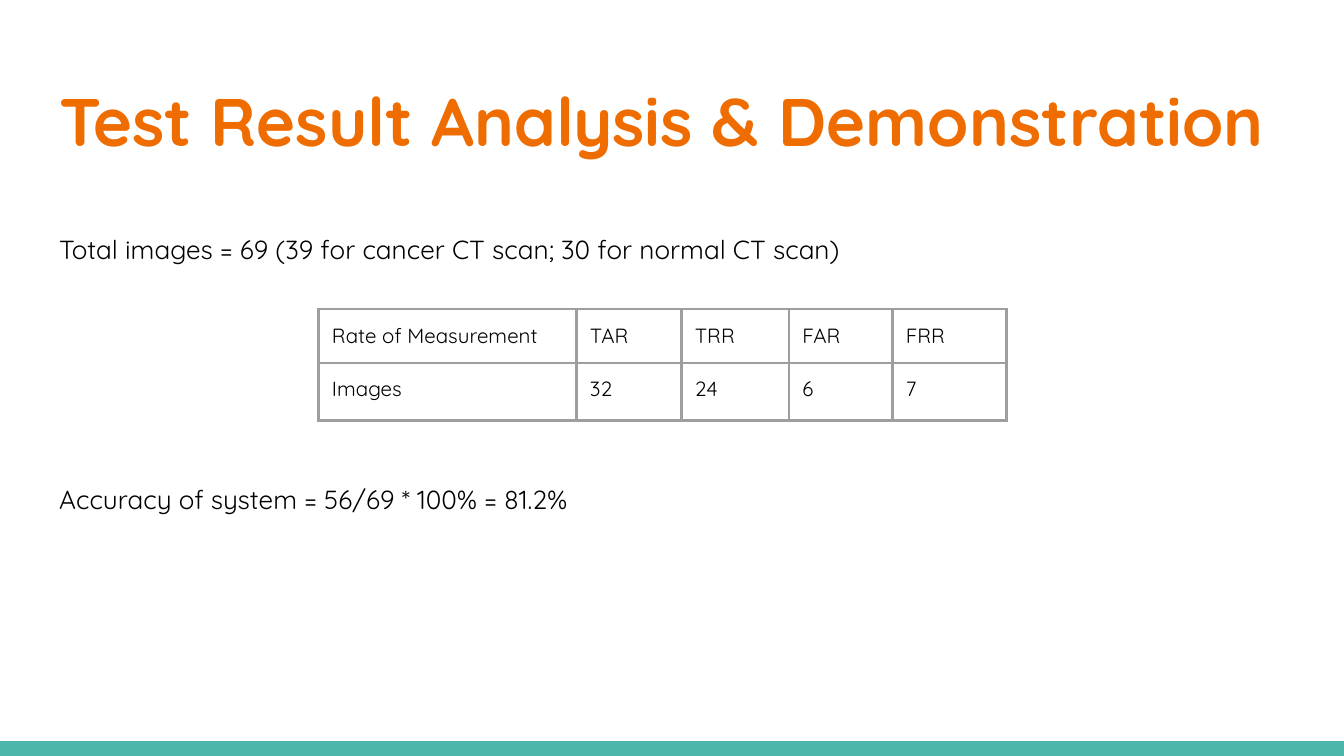
from lxml.etree import SubElement as Sub
from pptx import Presentation
from pptx.dml.color import RGBColor as RGB
from pptx.enum.shapes import MSO_SHAPE as Shape
from pptx.enum.text import MSO_ANCHOR as Anchor, MSO_AUTO_SIZE as Fit, PP_ALIGN as Align
from pptx.oxml.ns import qn
from pptx.util import Inches, Pt

TITLE = "Test Result Analysis & Demonstration"
TOTAL = "Total images = 69 (39 for cancer CT scan; 30 for normal CT scan)"
SCORE = "Accuracy of system = 56/69 * 100% = 81.2%"
ROWS = [
    ("Rate of Measurement", "TAR", "TRR", "FAR", "FRR"),
    ("Images", "32", "24", "6", "7"),
]
WIDTHS = [1.92, 0.78, 0.8, 0.77, 0.85]
HEIGHTS = [0.4, 0.43]
COLORS = {"title": "EF6C00", "text": "000000", "bar": "4DB6AC", "grid": "9E9E9E"}
FONT = "Quicksand"
WIDE = 10
HIGH = WIDE * 9 / 16
BAR = 0.11
PAD = 0.1


def write(par, text, size=14, color="text", bold=False, lines=1.0, before=0):
    par.alignment = Align.LEFT
    par.line_spacing = lines
    par.space_before = Pt(before)
    run = par.add_run()
    run.text = text
    font = run.font
    font.name, font.size, font.bold = FONT, Pt(size), bold
    font.color.rgb = RGB.from_string(COLORS[color])


def place(holder, left, top, width, height, inset=PAD):
    """Move a placeholder and return its text frame, set to start at the top."""
    holder.left, holder.top = Inches(left), Inches(top)
    holder.width, holder.height = Inches(width), Inches(height)
    frame = holder.text_frame
    frame.auto_size, frame.word_wrap = Fit.NONE, True
    frame.vertical_anchor = Anchor.TOP
    frame.margin_left = frame.margin_right = frame.margin_bottom = Inches(PAD)
    frame.margin_top = Inches(inset)
    return frame


def unbullet(par):
    props = par._p.get_or_add_pPr()
    props.set("marL", "0")
    props.set("indent", "0")
    Sub(props, qn("a:buNone"))


def border(cell):
    props = cell._tc.get_or_add_tcPr()
    for side in ("lnL", "lnR", "lnT", "lnB"):
        line = Sub(props, qn(f"a:{side}"), w=str(Pt(1.5)))
        Sub(Sub(line, qn("a:solidFill")), qn("a:srgbClr"), val=COLORS["grid"])


def add_grid(slide, left, top):
    grid = slide.shapes.add_table(
        len(ROWS), len(WIDTHS), Inches(left), Inches(top),
        Inches(sum(WIDTHS)), Inches(sum(HEIGHTS))).table
    grid.first_row = grid.horz_banding = False
    for col, width in zip(grid.columns, WIDTHS):
        col.width = Inches(width)
    for row, height, texts in zip(grid.rows, HEIGHTS, ROWS):
        row.height = Inches(height)
        for cell, text in zip(row.cells, texts):
            cell.margin_left = cell.margin_right = Inches(PAD)
            cell.margin_top = cell.margin_bottom = Inches(PAD)
            border(cell)
            cell.fill.background()
            write(cell.text_frame.paragraphs[0], text, size=11)


def main():
    deck = Presentation()
    deck.slide_width, deck.slide_height = Inches(WIDE), Inches(HIGH)
    slide = deck.slides.add_slide(deck.slide_layouts[1])
    title, body = slide.placeholders

    bar = slide.shapes.add_shape(
        Shape.RECTANGLE, 0, Inches(HIGH - BAR), Inches(WIDE), Inches(BAR))
    bar.shadow.inherit = False
    bar.fill.solid()
    bar.fill.fore_color.rgb = RGB.from_string(COLORS["bar"])
    bar.line.fill.background()

    frame = place(title, 0.34, 0.49, 9.32, 0.77)
    write(frame.paragraphs[0], TITLE, size=36, color="title", bold=True)

    frame = place(body, 0.34, 1.36, 9.32, 3.61, inset=0.34)
    total, score = frame.paragraphs[0], frame.add_paragraph()
    write(total, TOTAL, lines=1.15)
    write(score, SCORE, lines=1.15, before=115)
    for par in (total, score):
        unbullet(par)

    add_grid(slide, 2.37, 2.3)
    deck.save("out.pptx")


if __name__ == "__main__":
    main()
